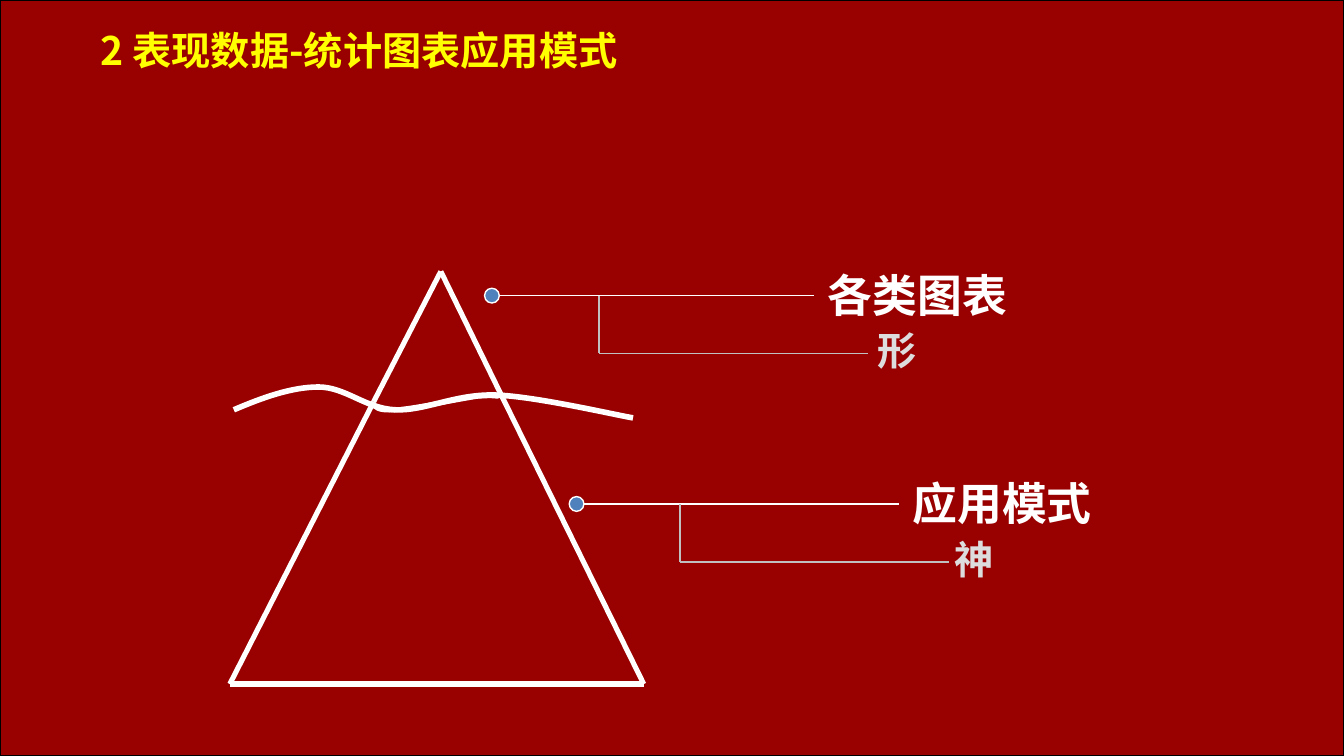
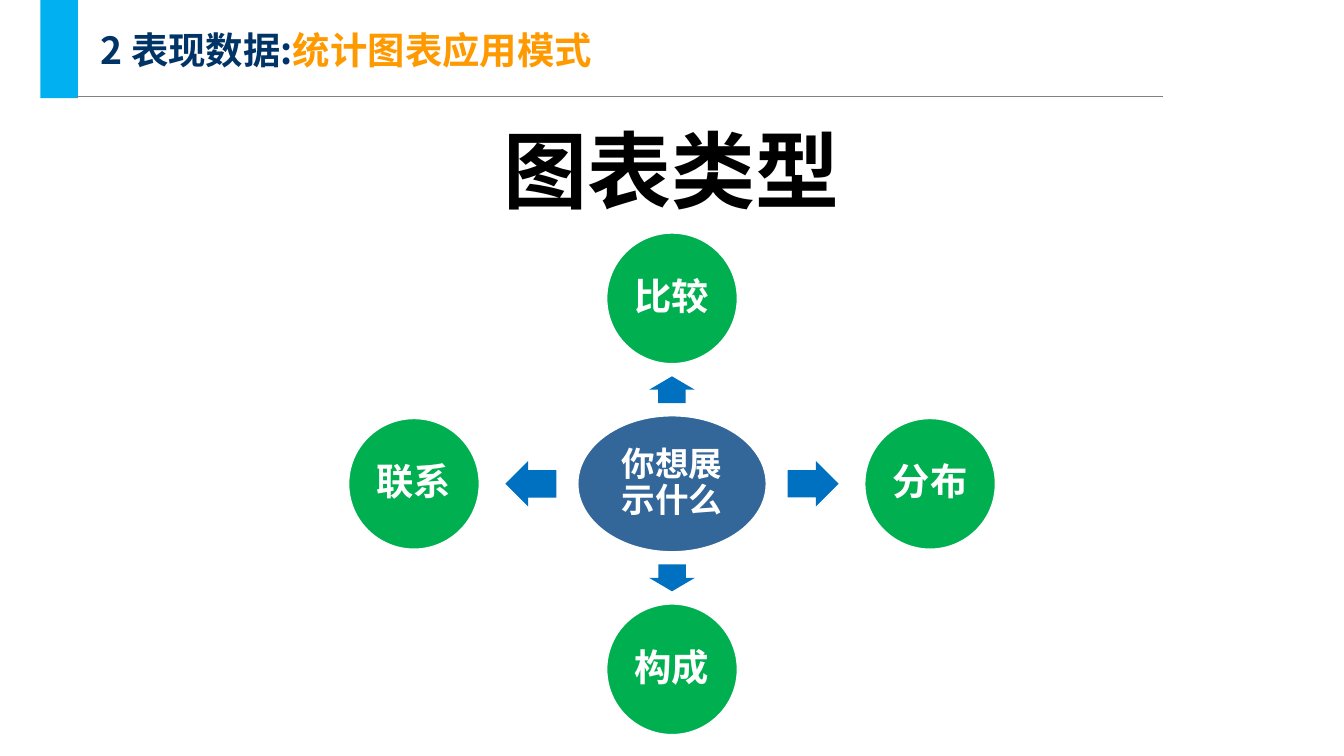
from lxml import etree
from pptx import Presentation
from pptx import util as u
from pptx.dml.color import RGBColor
from pptx.enum import shapes, text
from pptx.oxml.ns import qn

WHITE, BLACK, RED, YELLOW = "FFFFFF", "000000", "990000", "FFFF00"
SKY, NAVY, ORANGE, RULE_GREY = "00B0F0", "003366", "FF9900", "808080"
DOT_BLUE, NOTE_GREY, ELBOW_GREY = "4F81BD", "DDDDDD", "C0C0C0"
HUB_BLUE, ARROW_BLUE, GREEN = "336699", "0070C0", "00B050"
CJK = "Noto Sans CJK SC"
WIDTH = 10
HEIGHT = WIDTH * 9 / 16


def color(hex_string):
    return RGBColor.from_string(hex_string)


def write(shape, spans, size, font="Arial", align="l", anchor="t", inset=(0.07, 0.04), spacing=None):
    frame = shape.text_frame
    frame.word_wrap = True
    frame.vertical_anchor = {"t": text.MSO_ANCHOR.TOP, "m": text.MSO_ANCHOR.MIDDLE}[anchor]
    frame.margin_left = frame.margin_right = u.Inches(inset[0])
    frame.margin_top = frame.margin_bottom = u.Inches(inset[1])
    para = frame.paragraphs[0]
    para.alignment = {"l": text.PP_ALIGN.LEFT, "c": text.PP_ALIGN.CENTER}[align]
    if spacing:
        para.line_spacing = spacing
    for words, ink in spans:
        span = para.add_run()
        span.text = words
        span.font.size = u.Pt(size)
        span.font.bold = True
        span.font.color.rgb = color(ink)
        span.font.name = font
        etree.SubElement(span.font._element, qn("a:ea"), typeface=CJK)


def add_text(page, place, spans, size, **style):
    box = page.shapes.add_textbox(*map(u.Inches, place))
    write(box, spans, size, **style)


def add_title(page, spans, size):
    add_text(page, (0.65, 0.11, 5.98, 0.52), spans, size, font=CJK, anchor="m", inset=(0.1, 0.05))


def add_block(page, kind, place, fill, line=None, weight=0.75):
    block = page.shapes.add_shape(kind, *map(u.Inches, place))
    block.shadow.inherit = False
    block.fill.solid()
    block.fill.fore_color.rgb = color(fill)
    if line:
        block.line.color.rgb = color(line)
        block.line.width = u.Pt(weight)
    else:
        block.line.fill.background()
    return block


def add_centred(page, kind, x, y, width, height, fill, **outline):
    return add_block(page, kind, (x - width / 2, y - height / 2, width, height), fill, **outline)


def add_line(page, start, end, ink, weight):
    line = page.shapes.add_connector(shapes.MSO_CONNECTOR.STRAIGHT, *map(u.Inches, start + end))
    line.line.color.rgb = color(ink)
    line.line.width = u.Pt(weight)
    etree.SubElement(line._element.spPr, qn("a:effectLst"))


def add_curve(page, points, ink, weight):
    start, *rest = [(u.Inches(x), u.Inches(y)) for x, y in points]
    builder = page.shapes.build_freeform(*start)
    builder.add_line_segments(rest, close=False)
    curve = builder.convert_to_shape()
    curve.shadow.inherit = False
    curve.fill.background()
    curve.line.color.rgb = color(ink)
    curve.line.width = u.Pt(weight)
    steps = list(curve._element.iter(qn("a:lnTo")))
    outline = steps[0].getparent()
    for first in range(0, len(steps), 3):
        bezier = etree.SubElement(outline, qn("a:cubicBezTo"))
        for step in steps[first:first + 3]:
            bezier.append(step[0])
            outline.remove(step)


def add_callout(page, x, y, elbow_x, label, label_font, note, note_x, note_font):
    add_centred(page, shapes.MSO_SHAPE.OVAL, x, y, 0.11, 0.11, DOT_BLUE, line=WHITE)
    add_line(page, (x + 0.05, y), (x + 2.4, y), WHITE, 0.75)
    add_text(page, (x + 2.43, y - 0.25, 1.9, 0.48), [(label, WHITE)], 24, font=label_font)
    add_text(page, (note_x, y + 0.19, 2.29, 0.43), [(note, NOTE_GREY)], 21, font=note_font)
    add_line(page, (elbow_x, y), (elbow_x, y + 0.43), ELBOW_GREY, 1)
    add_line(page, (elbow_x, y + 0.43), (elbow_x + 2, y + 0.43), ELBOW_GREY, 1)


def build_iceberg(page):
    add_block(page, shapes.MSO_SHAPE.RECTANGLE, (0, 0, WIDTH, HEIGHT), RED, line=BLACK)
    add_title(page, [("2 表现数据-统计图表应用模式", YELLOW)], 21)

    left, right, apex = (1.71, 5.09), (4.79, 5.09), (3.28, 2.02)
    left_water, right_water = (2.78, 2.99), (3.73, 2.94)
    for start, end in [(left, left_water), (left_water, apex), (apex, right_water),
                       (right_water, right), (left, right)]:
        add_line(page, start, end, WHITE, 2.75)
    add_curve(page, [(1.74, 3.05), (1.95, 2.96), (2.17, 2.88), (2.37, 2.88), (2.57, 2.88),
                     (2.72, 3.04), (2.94, 3.05), (3.16, 3.06), (3.39, 2.93), (3.69, 2.94),
                     (3.98, 2.95), (4.54, 3.08), (4.71, 3.11)], WHITE, 3)
    add_curve(page, [(2.77, 3), (2.79, 3.03), (2.81, 3.06), (2.94, 3.05), (3.07, 3.04),
                     (3.42, 2.97), (3.55, 2.95), (3.68, 2.94), (3.69, 2.95), (3.71, 2.95)],
              WHITE, 2.5)

    add_callout(page, 3.66, 2.2, 4.46, "各类图表", "Times New Roman", "形", 6.46, "Arial")
    add_callout(page, 4.29, 3.75, 5.06, "应用模式", "Arial", "神", 7.03, CJK)


def build_chart_types(page):
    add_block(page, shapes.MSO_SHAPE.RECTANGLE, (0.3, -0.02, 0.28, 0.75), SKY)
    add_line(page, (0.56, 0.72), (8.65, 0.72), RULE_GREY, 0.75)
    add_title(page, [("2 表现数据:", NAVY), ("统计图表应用模式", ORANGE)], 20)
    add_text(page, (1.62, 0.79, 6.75, 0.93), [("图表类型", BLACK)], 45,
             align="c", anchor="m", inset=(0.08, 0.04))

    centre_x, centre_y = 5, 3.6
    disc_style = dict(align="c", anchor="m", inset=(0.03, 0.03), spacing=0.9)
    hub = add_centred(page, shapes.MSO_SHAPE.OVAL, centre_x, centre_y, 1.42, 1.03,
                      HUB_BLUE, line=WHITE, weight=2)
    write(hub, [("你想展示什么", WHITE)], 18, **disc_style)
    for label, across, down, turn in [("比较", 0, -1, 270), ("分布", 1, 0, 0),
                                      ("构成", 0, 1, 90), ("联系", -1, 0, 180)]:
        length = 0.38 if across else 0.2
        arrow = add_centred(page, shapes.MSO_SHAPE.RIGHT_ARROW, centre_x + 1.05 * across,
                            centre_y + 0.7 * down, length, 0.34, ARROW_BLUE)
        arrow.adjustments[0] = 0.6
        arrow.adjustments[1] = 0.5
        arrow.rotation = turn
        disc = add_centred(page, shapes.MSO_SHAPE.OVAL, centre_x + 1.92 * across,
                           centre_y + 1.38 * down, 0.99, 0.99, GREEN, line=WHITE, weight=2)
        write(disc, [(label, WHITE)], 20, **disc_style)


def main():
    deck = Presentation()
    deck.slide_width = u.Inches(WIDTH)
    deck.slide_height = u.Inches(HEIGHT)
    for build in (build_iceberg, build_chart_types):
        build(deck.slides.add_slide(deck.slide_layouts[6]))
    deck.save("out.pptx")


if __name__ == "__main__":
    main()
